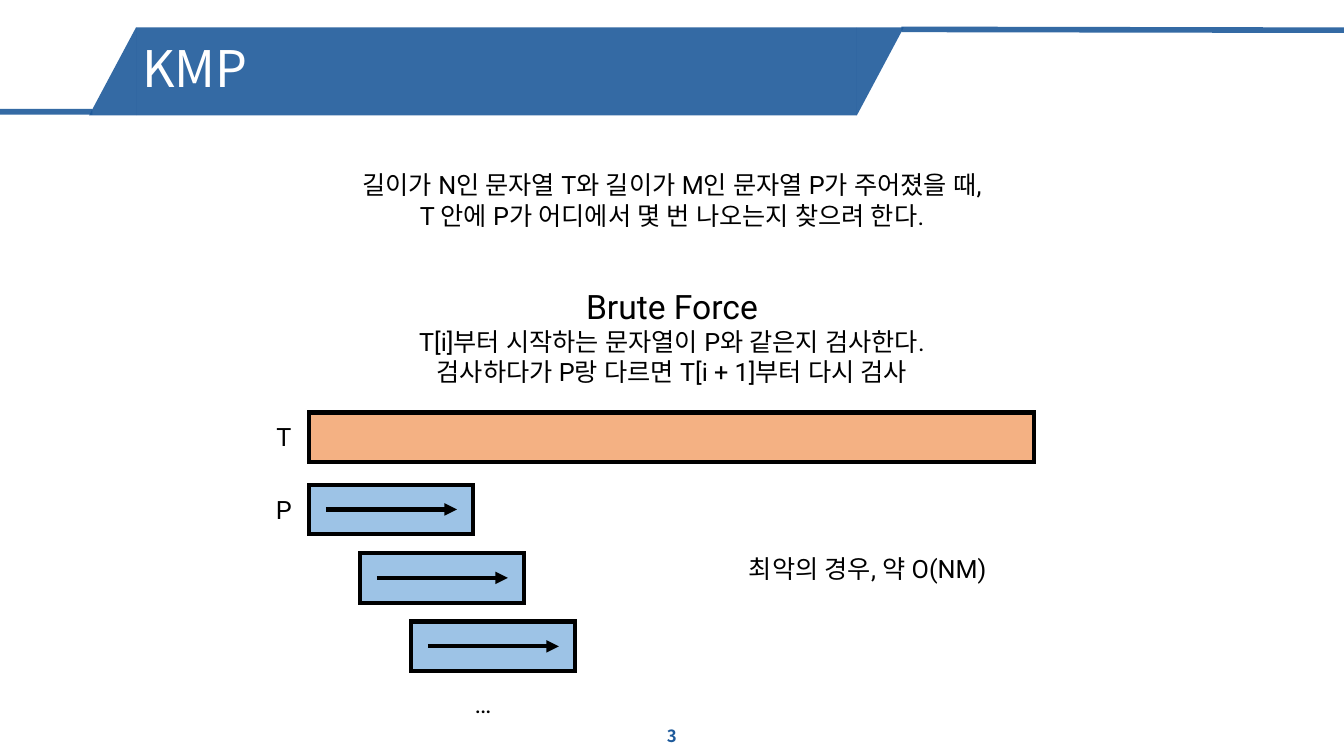
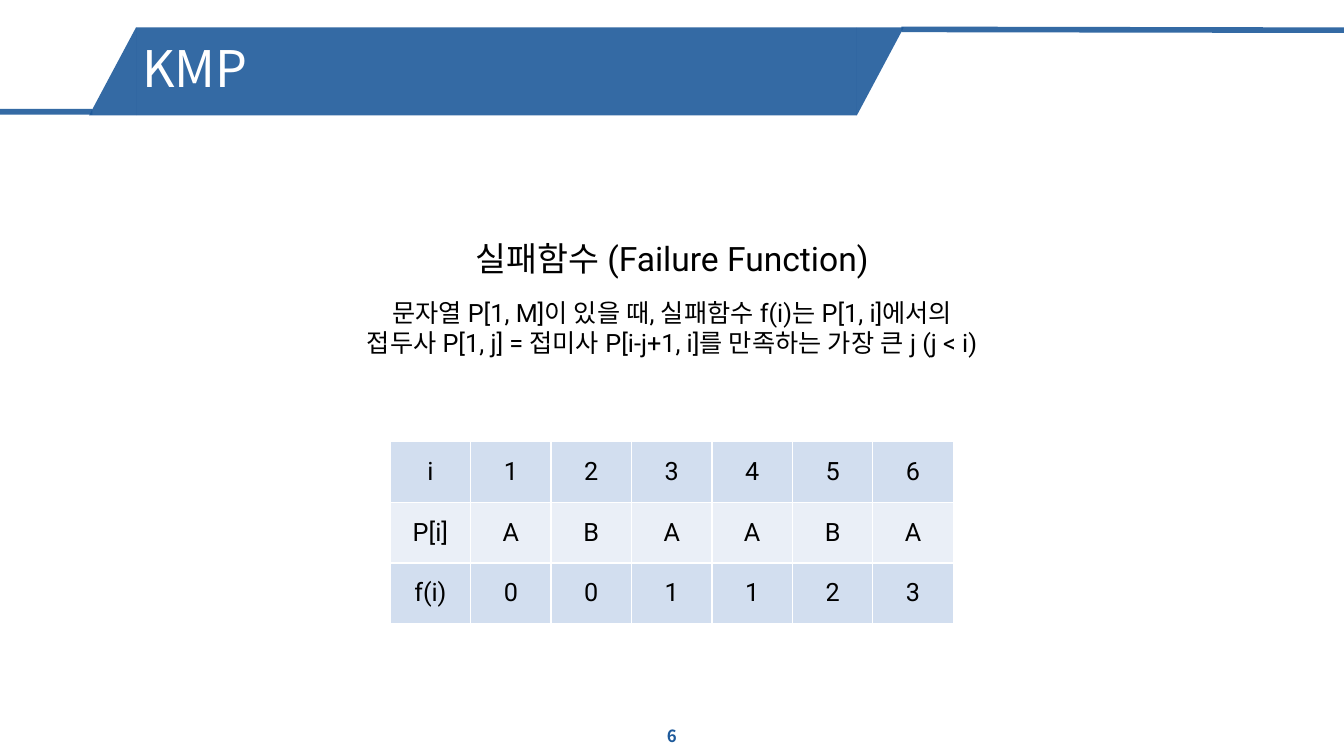
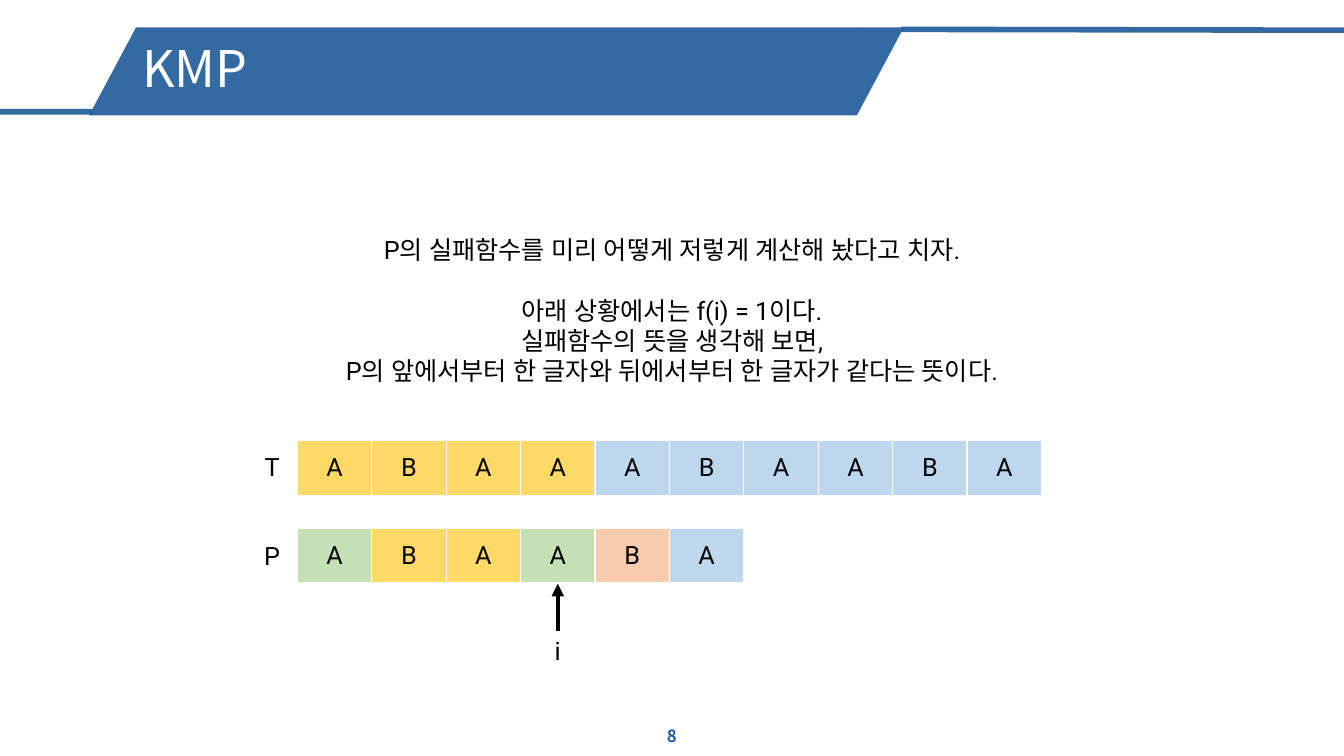
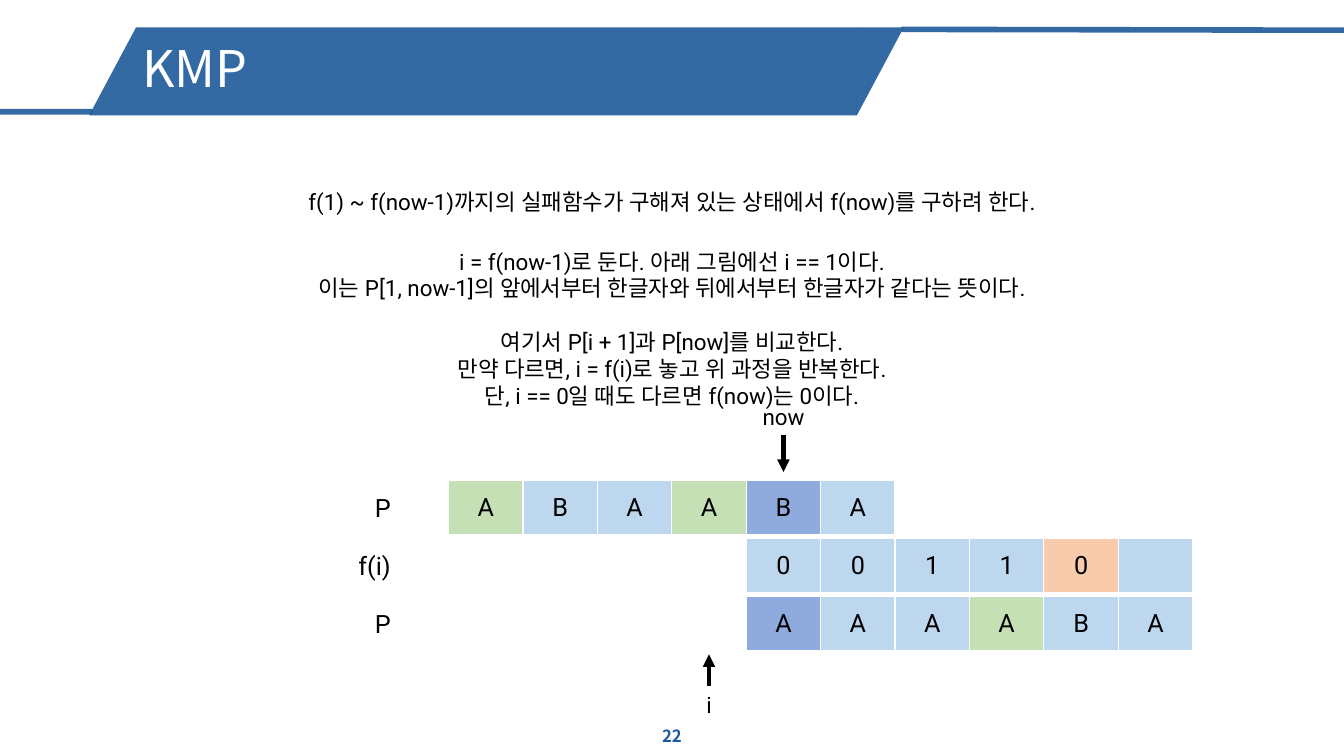
from dataclasses import dataclass
from typing import Optional

from lxml import etree
from pptx import Presentation
from pptx import util as u
from pptx.dml.color import RGBColor
from pptx.enum import shapes, text
from pptx.oxml.ns import qn

COLUMNS, ROWS = 160, 90
UNIT = u.Inches(13.333) / COLUMNS
MIDDLE = COLUMNS / 2

BLUE, BLACK, WHITE = "1E5A9B", "000000", "FFFFFF"
ORANGE, SKY = "F4B183", "9DC3E6"
BAND_OPACITY = 90
TINTS = {"Y": "FFD966", "B": "BDD7EE", "G": "C5E0B4", "R": "F8CBAD", "N": "8FAADC"}
TITLE_FONT, BODY_FONT = "Noto Sans CJK KR", "Roboto"

BAND_LEFT, BAND_TOP, BAND_WIDTH, BAND_HEIGHT, SLANT = 16.2, 3.25, 85.8, 10.5, 5.6
CELL_WIDTH, CELL_HEIGHT = 8.86, 6.6
LABEL_HEIGHT = 4.8
CENTER, RIGHT = text.PP_ALIGN.CENTER, text.PP_ALIGN.RIGHT


@dataclass(frozen=True)
class Line:
    words: str
    size: float = 18
    before: float = 0


@dataclass(frozen=True)
class Block:
    lines: tuple[Line, ...]
    top: float
    height: float
    width: float = 93.6
    center: float = MIDDLE
    align: text.PP_ALIGN = CENTER


@dataclass(frozen=True)
class Strip:
    label: str
    letters: list[str]
    tints: str
    left: float
    top: float
    label_center: float
    label_width: float = 6
    align: text.PP_ALIGN = CENTER
    underline: float = 3

    def middle_of(self, index: int) -> float:
        return self.left + (index + 0.5) * CELL_WIDTH


def grid(value: float) -> u.Emu:
    return u.Emu(round(value * UNIT))


def color(code: str) -> RGBColor:
    return RGBColor.from_string(code)


def set_opacity(shape, percent: int) -> None:
    for tint in shape.element.spPr.iter(qn("a:srgbClr")):
        etree.SubElement(tint, qn("a:alpha"), val=str(percent * 1000))


def style_span(span, size: float, code: str = BLACK, face: str = BODY_FONT, bold: bool = False) -> None:
    span.font.size = u.Pt(size)
    span.font.name = face
    span.font.bold = bold
    span.font.color.rgb = color(code)
    etree.SubElement(span.font._element, qn("a:ea"), typeface=face)


def add_box(page, left: float, top: float, width: float, height: float):
    box = page.shapes.add_textbox(grid(left), grid(top), grid(width), grid(height))
    box.text_frame.word_wrap = True
    return box.text_frame


def add_block(page, block: Block) -> None:
    frame = add_box(page, block.center - block.width / 2, block.top, block.width, block.height)
    frame.text = "\n".join(line.words for line in block.lines)
    for para, line in zip(frame.paragraphs, block.lines):
        para.alignment = block.align
        para.space_before = u.Pt(line.before)
        style_span(para.runs[0], line.size)


def add_label(page, words: str, center: float, top: float, width: float = 6,
              size: float = 18, align: text.PP_ALIGN = CENTER) -> None:
    add_block(page, Block((Line(words, size),), top, LABEL_HEIGHT, width, center, align))


def add_panel(page, kind, left: float, top: float, width: float, height: float,
              code: str, outline: Optional[str] = None):
    panel = page.shapes.add_shape(kind, grid(left), grid(top), grid(width), grid(height))
    panel.shadow.inherit = False
    panel.fill.solid()
    panel.fill.fore_color.rgb = color(code)
    if outline:
        panel.line.color.rgb = color(outline)
        panel.line.width = u.Pt(3)
        etree.SubElement(panel.element.spPr.find(qn("a:ln")), qn("a:miter"), lim="800000")
    else:
        panel.line.fill.background()
    return panel


def add_line(page, start: tuple[float, float], end: tuple[float, float],
             code: str = BLACK, weight: float = 3, arrow: bool = True):
    line = page.shapes.add_connector(
        shapes.MSO_CONNECTOR.STRAIGHT, *(grid(value) for value in start + end))
    line.line.color.rgb = color(code)
    line.line.width = u.Pt(weight)
    properties = line.element.spPr
    if arrow:
        etree.SubElement(properties.find(qn("a:ln")), qn("a:tailEnd"), type="triangle")
    etree.SubElement(properties, qn("a:effectLst"))
    return line


def style_cell(cell, words: str, code: str, underline: float) -> None:
    properties = cell._tc.get_or_add_tcPr()
    for side, weight in (("L", 1), ("R", 1), ("T", 1), ("B", underline)):
        border = etree.SubElement(properties, qn(f"a:ln{side}"), w=str(u.Pt(weight)))
        paint = etree.SubElement(border, qn("a:solidFill"))
        etree.SubElement(paint, qn("a:srgbClr"), val=WHITE)
    cell.fill.solid()
    cell.fill.fore_color.rgb = color(code)
    cell.vertical_anchor = text.MSO_ANCHOR.MIDDLE
    cell.text_frame.text = words
    para = cell.text_frame.paragraphs[0]
    para.alignment = CENTER
    for span in para.runs:
        style_span(span, 18)


def add_cells(page, rows: list[list[str]], codes: list[list[str]], left: float, top: float,
              cell_width: float, cell_height: float, underline: float = 1) -> None:
    count = len(rows[0])
    table = page.shapes.add_table(
        len(rows), count, grid(left), grid(top),
        grid(cell_width * count), grid(cell_height * len(rows))).table
    table.first_row = table.horz_banding = False
    for column in table.columns:
        column.width = grid(cell_width)
    for row_index, row in enumerate(rows):
        table.rows[row_index].height = grid(cell_height)
        for index, words in enumerate(row):
            style_cell(table.cell(row_index, index), words, codes[row_index][index], underline)


def add_strip(page, strip: Strip) -> None:
    add_cells(page, [strip.letters], [[TINTS[key] for key in strip.tints]],
              strip.left, strip.top, CELL_WIDTH, CELL_HEIGHT, strip.underline)
    add_label(page, strip.label, strip.label_center, strip.top + 0.8,
              strip.label_width, align=strip.align)


def build_band(page, layout) -> None:
    band_right = BAND_LEFT + BAND_WIDTH
    middle = BAND_TOP + BAND_HEIGHT / 2
    parts = [add_panel(page, shapes.MSO_SHAPE.RECTANGLE, BAND_LEFT, BAND_TOP,
                       BAND_WIDTH, BAND_HEIGHT, BLUE)]
    for center, turn in ((BAND_LEFT - SLANT / 2, 270), (band_right + SLANT / 2, 90)):
        corner = add_panel(page, shapes.MSO_SHAPE.RIGHT_TRIANGLE, center - BAND_HEIGHT / 2,
                           middle - SLANT / 2, BAND_HEIGHT, SLANT, BLUE)
        corner.rotation = turn
        parts.append(corner)
    for start, end in (((11, 13.3), (0, 13.3)), ((COLUMNS, 3.6), (107.3, 3.5))):
        parts.append(add_line(page, start, end, BLUE, 4, arrow=False))
    for part in parts:
        set_opacity(part, BAND_OPACITY)
        layout.shapes.element.append(part.element)


def add_heading(page, number: int) -> None:
    title = add_box(page, 15.75, 3.6, BAND_WIDTH, 9.7)
    title.text = "KMP"
    title.paragraphs[0].line_spacing = 0.9
    title.paragraphs[0].space_before = u.Pt(10)
    style_span(title.paragraphs[0].runs[0], 36, WHITE, TITLE_FONT)
    footer = add_box(page, MIDDLE - 18, 85.2, 36, LABEL_HEIGHT)
    footer.text = str(number)
    footer.paragraphs[0].alignment = CENTER
    style_span(footer.paragraphs[0].runs[0], 12, BLUE, TITLE_FONT, bold=True)
    for frame in (title, footer):
        frame.vertical_anchor = text.MSO_ANCHOR.MIDDLE


def build_brute_force(page) -> None:
    add_block(page, Block((
        Line("길이가 N인 문자열 T와 길이가 M인 문자열 P가 주어졌을 때,"),
        Line("T 안에 P가 어디에서 몇 번 나오는지 찾으려 한다."),
    ), 19.6, 8.5))
    add_block(page, Block((
        Line("Brute Force", 24),
        Line("T[i]부터 시작하는 문자열이 P와 같은지 검사한다."),
        Line("검사하다가 P랑 다르면 T[i + 1]부터 다시 검사"),
    ), 33.4, 13.3))
    left, bar_height, pattern_top = 36.8, 5.9, 57.7
    rectangle = shapes.MSO_SHAPE.RECTANGLE
    add_panel(page, rectangle, left, 49.1, 86.3, bar_height, ORANGE, BLACK)
    for step in range(3):
        step_left, step_top = left + 6.07 * step, pattern_top + 8.15 * step
        add_panel(page, rectangle, step_left, step_top, 19.5, bar_height, SKY, BLACK)
        middle = step_top + bar_height / 2
        add_line(page, (step_left + 2, middle), (step_left + 17.6, middle))
    add_label(page, "T", 33.8, 49.6)
    add_label(page, "P", 33.8, 58.2)
    add_label(page, "최악의 경우, 약 O(NM)", 103.3, 65.3, 39.6)
    add_label(page, "…", 57.5, 81.4)


def build_failure_function(page) -> None:
    add_block(page, Block((Line("실패함수 (Failure Function)", 24),), 27.7, 6))
    add_block(page, Block((
        Line("문자열 P[1, M]이 있을 때, 실패함수 f(i)는 P[1, i]에서의"),
        Line("접두사 P[1, j] = 접미사 P[i-j+1, i]를 만족하는 가장 큰 j (j < i)"),
    ), 34.8, 8.5, 103.3))
    rows = [["i", *"123456"], ["P[i]", *"ABAABA"], ["f(i)", *"001123"]]
    codes = [[code] * 7 for code in ("D2DEEF", "EAEFF7", "D2DEEF")]
    add_cells(page, rows, codes, 46.45, 52.55, 9.58, 7.24)


def build_matching(page) -> None:
    add_block(page, Block((
        Line("P의 실패함수를 미리 어떻게 저렇게 계산해 놨다고 치자."),
        Line("아래 상황에서는 f(i) = 1이다.", before=22),
        Line("실패함수의 뜻을 생각해 보면,"),
        Line("P의 앞에서부터 한 글자와 뒤에서부터 한 글자가 같다는 뜻이다."),
    ), 27.3, 19.4, 113.6))
    source = Strip("T", list("ABAAABAABA"), "YYYYBBBBBB", 35.4, 52.4, 32.4, underline=1)
    pattern = Strip("P", list("ABAABA"), "GYYGRB", 35.4, 62.9, 32.4)
    for strip in (source, pattern):
        add_strip(page, strip)
    pointer = pattern.middle_of(3)
    add_line(page, (pointer, 75.1), (pointer, 69.5))
    add_label(page, "i", pointer, 75.1)


def build_computing(page) -> None:
    add_block(page, Block((
        Line("f(1) ~ f(now-1)까지의 실패함수가 구해져 있는 상태에서 f(now)를 구하려 한다.", 16),
    ), 21.8, 4.4, 106))
    add_block(page, Block((
        Line("i = f(now-1)로 둔다. 아래 그림에선 i == 1이다.", 16),
        Line("이는 P[1, now-1]의 앞에서부터 한글자와 뒤에서부터 한글자가 같다는 뜻이다.", 16),
        Line("여기서 P[i + 1]과 P[now]를 비교한다.", 16, before=19),
        Line("만약 다르면, i = f(i)로 놓고 위 과정을 반복한다.", 16),
        Line("단, i == 0일 때도 다르면 f(now)는 0이다.", 16),
    ), 28.9, 20.6, 99.2))
    left, top, pitch = 53.4, 57.2, 6.92
    shifted = left + 4 * CELL_WIDTH
    strips = [
        Strip(label, letters, tints, strip_left, top + pitch * index, 42.8, 9.8, RIGHT)
        for index, (label, letters, tints, strip_left) in enumerate((
            ("P", list("ABAABA"), "GBBGNB", left),
            ("f(i)", [*"00110", ""], "BBBBRB", shifted),
            ("P", list("AAAABA"), "NBBGBB", shifted),
        ))
    ]
    for strip in strips:
        add_strip(page, strip)
    now, pointer = strips[0].middle_of(4), strips[0].middle_of(3)
    add_label(page, "now", now, 47.4, 12, 16)
    add_line(page, (now, 51.8), (now, 56.2))
    add_line(page, (pointer, 81.7), (pointer, 77.9))
    add_label(page, "i", pointer, 81.7, size=16)


def main() -> None:
    deck = Presentation()
    deck.slide_width, deck.slide_height = grid(COLUMNS), grid(ROWS)
    layout = deck.slide_layouts[6]
    for holder in list(layout.placeholders):
        layout.shapes.element.remove(holder.element)
    builders = ((3, build_brute_force), (6, build_failure_function),
                (8, build_matching), (22, build_computing))
    for index, (number, build) in enumerate(builders):
        page = deck.slides.add_slide(layout)
        if index == 0:
            build_band(page, layout)
        add_heading(page, number)
        build(page)
    deck.save("out.pptx")


if __name__ == "__main__":
    main()
